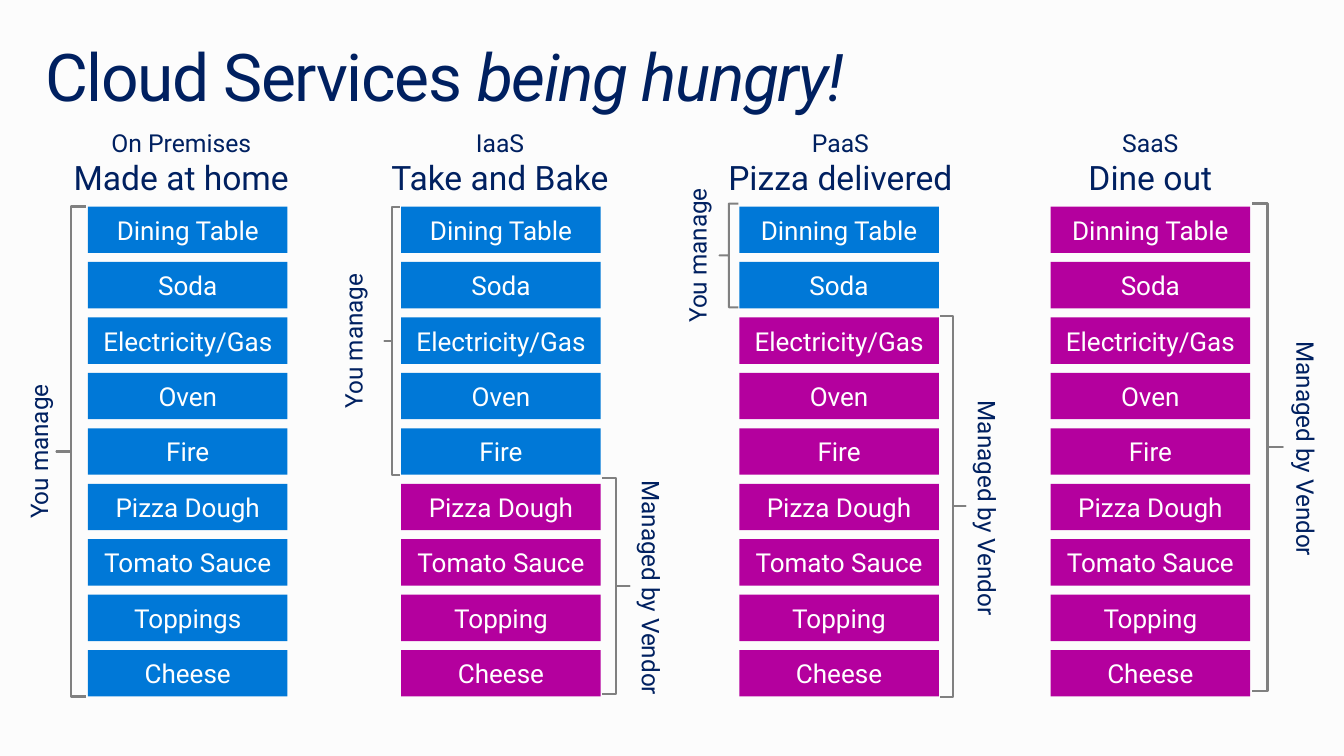
import pptx
import pptx.dml.color
import pptx.enum.shapes
import pptx.enum.text
import pptx.util

Pt = pptx.util.Pt
RGB = pptx.dml.color.RGBColor
SHAPE = pptx.enum.shapes.MSO_SHAPE
ANCHOR = pptx.enum.text.MSO_ANCHOR
ALIGN = pptx.enum.text.PP_ALIGN
FIT = pptx.enum.text.MSO_AUTO_SIZE

NAVY = RGB(0x00, 0x20, 0x60)
BLUE = RGB(0x00, 0x78, 0xD7)
PURPLE = RGB(0xB4, 0x00, 0x9E)
GREY = RGB(0x80, 0x80, 0x80)
WHITE = RGB(0xFF, 0xFF, 0xFF)
PAPER = RGB(0xFC, 0xFC, 0xFC)

FACE = "Roboto"
TOP, PITCH, BAR_W, BAR_H = 150.5, 40.4, 145.4, 33.8
MIDDLE = ["Soda", "Electricity/Gas", "Oven", "Fire", "Pizza Dough", "Tomato Sauce"]

# Braces: side, offset from the column, top, width, height, gap to the label
COLUMNS = [
    dict(left=64.1, shift=-4.7, heads=["On Premises", "Made at home"],
         table="Dining Table", topping="Toppings", own=9,
         braces=[("left", -23, 150.5, 21.6, 357, 13)]),
    dict(left=292.3, shift=-0.7, heads=["IaaS", "Take and Bake"],
         table="Dining Table", topping="Topping", own=5,
         braces=[("left", -12.2, 150.5, 11.5, 195.8, 23),
                 ("right", 146.2, 348.5, 20.2, 157, 16)]),
    dict(left=538.6, shift=1, heads=["PaaS", "Pizza delivered"],
         table="Dinning Table", topping="Topping", own=2,
         braces=[("left", -14.4, 148.3, 13.7, 75.6, 16.5),
                 ("right", 146.2, 230.4, 18.7, 277.2, 16)]),
    dict(left=765.4, shift=0, heads=["SaaS", "Dine out"],
         table="Dinning Table", topping="Topping", own=0,
         braces=[("right", 146.9, 148.3, 22.3, 355, 17)]),
]


def write(frame, lines, color, anchor=ANCHOR.MIDDLE, wrap=True):
    """Fill a text frame with centred lines given as (text, size)."""
    frame.word_wrap = wrap
    frame.auto_size = FIT.NONE
    frame.vertical_anchor = anchor
    frame.margin_left = frame.margin_right = Pt(0)
    frame.margin_top = frame.margin_bottom = Pt(0)
    for i, (text, size) in enumerate(lines):
        para = frame.add_paragraph() if i else frame.paragraphs[0]
        para.text = text
        para.alignment = ALIGN.CENTER
        para.font.name = FACE
        para.font.size = Pt(size)
        para.font.color.rgb = color


def add_title(slide, left, top, width, height):
    """Place the title with its second half in italics."""
    title = slide.shapes.title
    title.left, title.top = Pt(left), Pt(top)
    title.width, title.height = Pt(width), Pt(height)
    frame = title.text_frame
    frame.auto_size = FIT.NONE
    frame.vertical_anchor = ANCHOR.TOP
    frame.margin_left = frame.margin_right = Pt(11.5)
    frame.margin_top = frame.margin_bottom = Pt(7.2)
    para = frame.paragraphs[0]
    para.alignment = ALIGN.LEFT
    para.line_spacing = 0.9
    para.font.name = FACE
    para.font.size = Pt(48)
    para.font.color.rgb = NAVY
    for text, slant in (("Cloud Services ", False), ("being hungry!", True)):
        run = para.add_run()
        run.text = text
        run.font.italic = slant
        run.font._element.set("spc", "-100")


def add_bar(shapes, text, fill, left, top, width, height):
    """Draw one filled ingredient bar."""
    bar = shapes.add_shape(SHAPE.RECTANGLE, Pt(left), Pt(top), Pt(width), Pt(height))
    bar.shadow.inherit = False
    bar.fill.solid()
    bar.fill.fore_color.rgb = fill
    bar.line.fill.background()
    write(bar.text_frame, [(text, 19)], WHITE)


def add_brace(shapes, side, left, top, width, height, gap):
    """Draw a square brace and the upright label centred beside it."""
    brace = shapes.add_shape(SHAPE.LEFT_BRACE, Pt(left), Pt(top), Pt(width), Pt(height))
    brace.adjustments[0] = 0
    brace.shadow.inherit = False
    brace.fill.background()
    brace.line.color.rgb = GREY
    brace.line.width = Pt(1.5)
    if side == "left":
        text, turn, mid, tall = "You manage", "vert270", left - gap, 96
    else:
        text, turn, mid, tall = "Managed by Vendor", "eaVert", left + width + gap, 154
        brace._element.spPr.xfrm.set("flipH", "1")
    label = shapes.add_textbox(Pt(mid - 18), Pt(top + (height - tall) / 2), Pt(36), Pt(tall))
    write(label.text_frame, [(text, 17.7)], NAVY, wrap=False)
    label.text_frame._txBody.bodyPr.set("vert", turn)


def add_column(slide, left, shift, heads, table, topping, own, braces):
    """Build one service column: heading, nine bars and braces."""
    shapes = slide.shapes.add_group_shape().shapes
    wide = 180
    start = left + shift + (BAR_W - wide) / 2
    head = shapes.add_textbox(Pt(start), Pt(93), Pt(wide), Pt(57))
    write(head.text_frame, list(zip(heads, (18, 24.5))), NAVY, ANCHOR.TOP)
    for row, text in enumerate([table, *MIDDLE, topping, "Cheese"]):
        fill = BLUE if row < own else PURPLE
        add_bar(shapes, text, fill, left, TOP + row * PITCH, BAR_W, BAR_H)
    for side, dx, *box in braces:
        add_brace(shapes, side, left + dx, *box)


def main():
    """Build and save the slide."""
    deck = pptx.Presentation()
    deck.slide_width, deck.slide_height = Pt(979.2), Pt(550.8)
    slide = deck.slides.add_slide(deck.slide_layouts[5])
    slide.background.fill.solid()
    slide.background.fill.fore_color.rgb = PAPER
    add_title(slide, 21.6, 25, 936, 72)
    for column in COLUMNS:
        add_column(slide, **column)
    deck.save("out.pptx")


if __name__ == "__main__":
    main()
